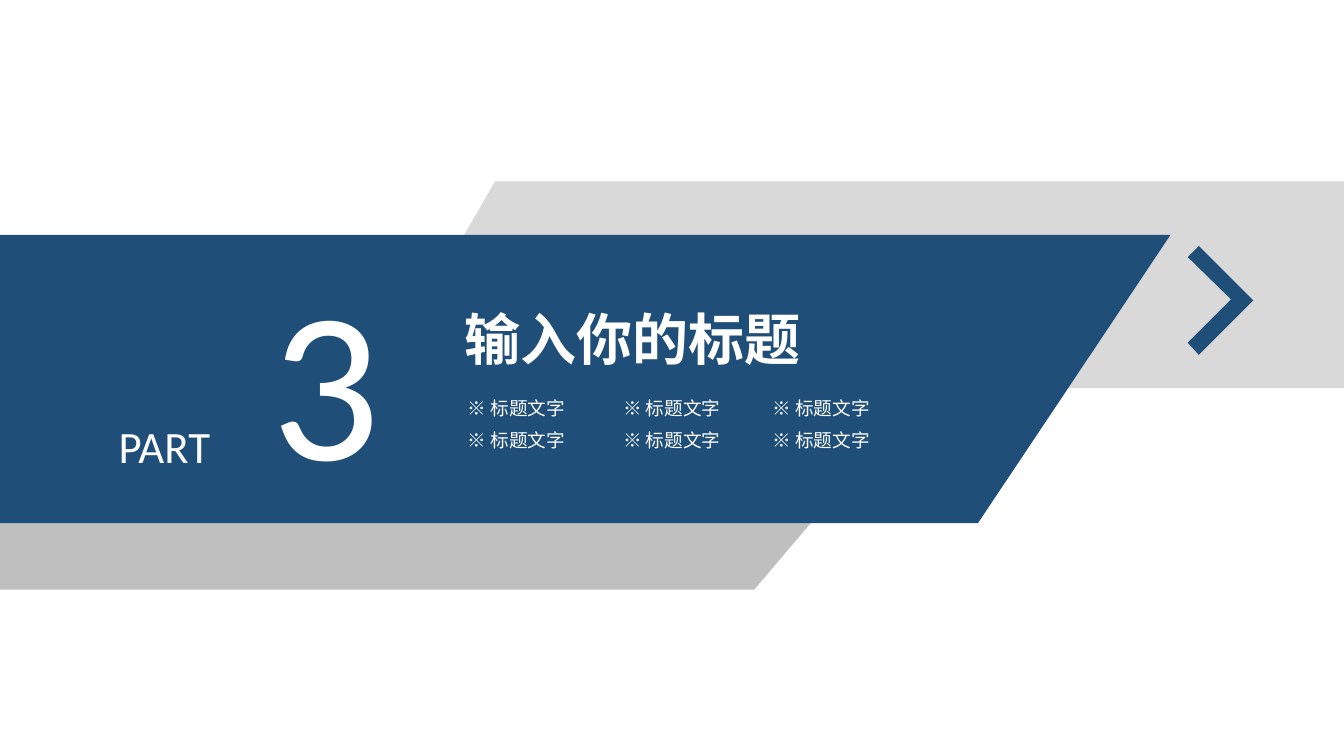
from itertools import product

from pptx import Presentation
from pptx.dml.color import RGBColor
from pptx.enum.shapes import MSO_SHAPE
from pptx.enum.text import MSO_AUTO_SIZE, PP_ALIGN
from pptx.util import Inches, Pt

WHITE, NAVY, LIGHT, GREY = "FFFFFF", "1F4E79", "D9D9D9", "BFBFBF"
WIDTH, HEIGHT = 13.33, 7.5


def color(value):
    return RGBColor.from_string(value)


class SectionSlide:
    """Holds the slide and its text style, and draws its elements."""

    def __init__(self, s, font="Calibri", ink=WHITE):
        self.s = s
        self.font = font
        self.ink = ink

    def background(self, fill):
        bg = self.s.background.fill
        bg.solid()
        bg.fore_color.rgb = color(fill)

    def paint(self, sp, fill):
        sp.shadow.inherit = False
        sp.fill.solid()
        sp.fill.fore_color.rgb = color(fill)
        sp.line.fill.background()

    def rect(self, x, y, w, h, fill):
        sp = self.s.shapes.add_shape(
            MSO_SHAPE.RECTANGLE, Inches(x), Inches(y), Inches(w), Inches(h))
        self.paint(sp, fill)

    def polygon(self, points, fill):
        start, *rest = [(Inches(x), Inches(y)) for x, y in points]
        builder = self.s.shapes.build_freeform(*start)
        builder.add_line_segments(rest, close=True)
        self.paint(builder.convert_to_shape(), fill)

    def text(self, x, y, w, h, words, size, align=PP_ALIGN.LEFT, bold=False,
             inset=(0.1, 0.05)):
        sp = self.s.shapes.add_textbox(Inches(x), Inches(y), Inches(w), Inches(h))
        tf = sp.text_frame
        tf.word_wrap = True
        tf.auto_size = MSO_AUTO_SIZE.SHAPE_TO_FIT_TEXT
        tf.margin_left = tf.margin_right = Inches(inset[0])
        tf.margin_top = tf.margin_bottom = Inches(inset[1])
        tf.text = words
        p = tf.paragraphs[0]
        p.alignment = align
        r = p.runs[0]
        r.font.name = self.font
        r.font.size = Pt(size)
        r.font.bold = bold
        r.font.color.rgb = color(self.ink)


def main():
    prs = Presentation()
    prs.slide_width, prs.slide_height = Inches(WIDTH), Inches(HEIGHT)
    slide = SectionSlide(prs.slides.add_slide(prs.slide_layouts[6]))

    slide.background("F2F2F2")
    slide.rect(0, 0, WIDTH, HEIGHT, WHITE)
    slide.polygon([(4.91, 1.8), (WIDTH, 1.8), (WIDTH, 3.85), (3.73, 3.85)], LIGHT)
    slide.polygon([(0, 3.8), (9.22, 3.8), (7.48, 5.85), (0, 5.85)], GREY)
    slide.polygon([(0, 2.33), (11.61, 2.33), (9.7, 5.19), (0, 5.19)], NAVY)

    slide.text(0.87, 4.11, 1.52, 0.64, "PART", 32, PP_ALIGN.CENTER)
    slide.text(2.01, 2.39, 2.44, 2.68, "3", 153.3, PP_ALIGN.CENTER)
    slide.text(4.51, 2.97, 4.27, 0.77, "输入你的标题", 40, PP_ALIGN.JUSTIFY, bold=True)
    for y, x in product((3.9, 4.21), (4.55, 6.09, 7.57)):
        slide.text(x, y, 1.44, 0.31, "※ 标题文字", 13.3, inset=(0.09, 0.04))

    slide.polygon([(11.89, 2.44), (12.43, 2.98), (11.89, 3.52),
                   (11.78, 3.4), (12.21, 2.97), (11.78, 2.55)], NAVY)
    prs.save("out.pptx")


if __name__ == "__main__":
    main()
